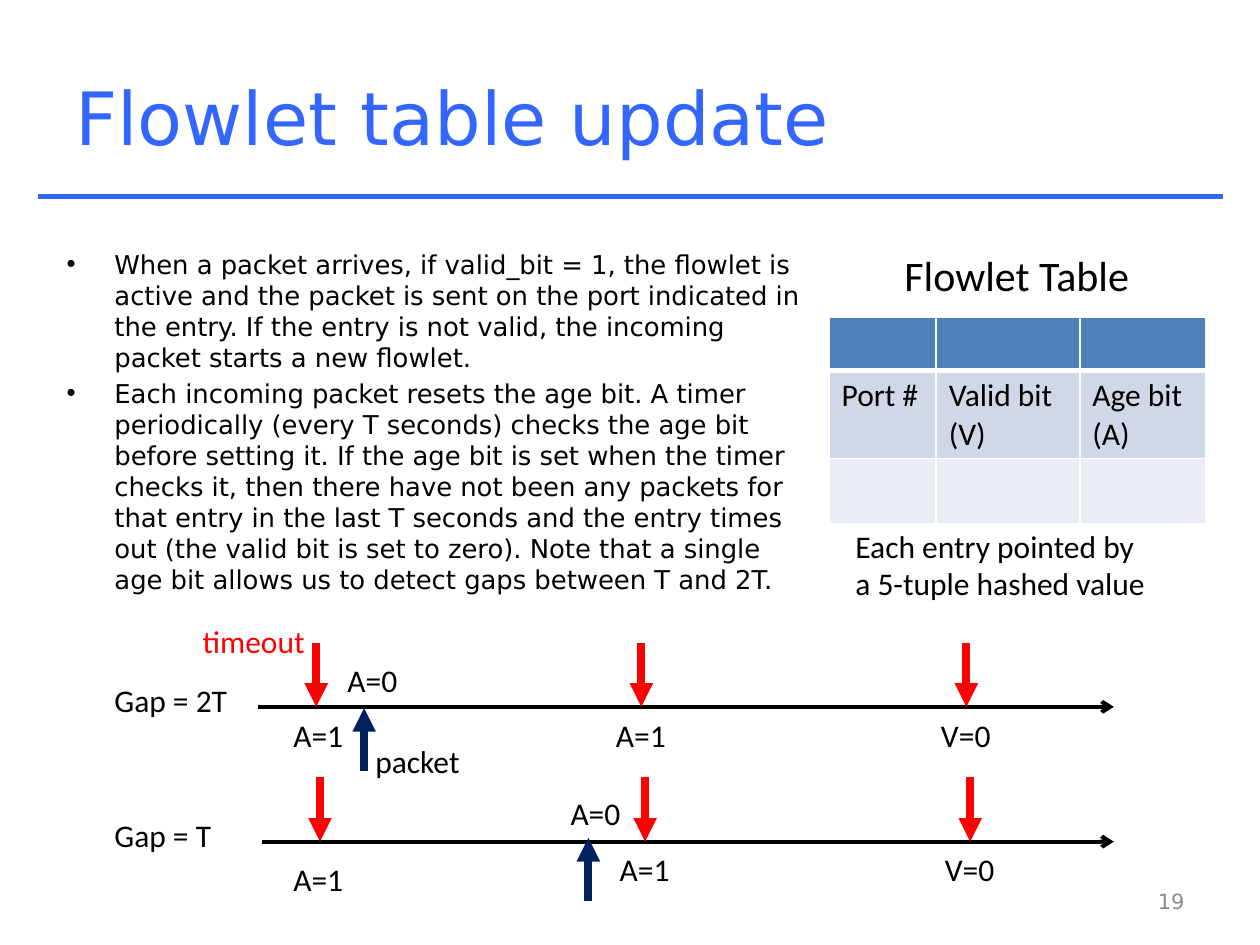
import pptx
import pptx.util
import pptx.dml.color
import pptx.enum.shapes
import pptx.enum.text
import pptx.oxml.ns
import lxml.etree
from dataclasses import dataclass

Inches = pptx.util.Inches
Pt = pptx.util.Pt
qn = pptx.oxml.ns.qn
Anchor = pptx.enum.text.MSO_ANCHOR
Align = pptx.enum.text.PP_ALIGN


@dataclass(frozen=True)
class Theme:
    heading_font: str = "DejaVu Sans"
    label_font: str = "Calibri"
    blue: str = "3366FF"
    black: str = "000000"
    gray: str = "8C8C8C"
    red: str = "FF0000"
    navy: str = "002060"
    white: str = "FFFFFF"
    row_fills: tuple = ("4F81BD", "D0D8E8", "E9EDF4")
    title: float = 42
    caption: float = 24
    label: float = 18
    body: float = 14.8
    number: float = 12


def rgb(value):
    return pptx.dml.color.RGBColor.from_string(value)


class SlideBuilder:
    def __init__(self, slide, theme):
        self.s = slide
        self.theme = theme

    def run(self, p, text, size, font, color):
        r = p.add_run()
        r.text = text
        r.font.size = Pt(size)
        r.font.name = font
        r.font.color.rgb = rgb(color)

    def text(self, box, lines, size=None, font=None, color=None, wrap=True,
             anchor=Anchor.TOP, align=Align.LEFT, bullet=False):
        t = self.theme
        tf = self.s.shapes.add_textbox(*map(Inches, box)).text_frame
        tf.word_wrap = wrap
        tf.vertical_anchor = anchor
        for i, line in enumerate(lines):
            p = tf.paragraphs[0] if i == 0 else tf.add_paragraph()
            p.alignment = align
            if bullet:
                self.bullet(p)
                if i:
                    p.space_before = Pt(3)
            self.run(p, line, size or t.label, font or t.label_font, color or t.black)

    def bullet(self, p):
        pPr = p._p.get_or_add_pPr()
        pPr.set("marL", str(Inches(0.38)))
        pPr.set("indent", str(Inches(-0.38)))
        lxml.etree.SubElement(pPr, qn("a:buFont"), typeface="Arial")
        lxml.etree.SubElement(pPr, qn("a:buChar"), char="•")

    def line(self, start, end, color, width, head=None):
        ends = map(Inches, (*start, *end))
        sp = self.s.shapes.add_connector(pptx.enum.shapes.MSO_CONNECTOR.STRAIGHT, *ends)
        sp.line.color.rgb = rgb(color)
        sp.line.width = Pt(width)
        if head:
            lxml.etree.SubElement(sp.line._get_or_add_ln(), qn("a:tailEnd"), type=head)
        lxml.etree.SubElement(sp._element.spPr, qn("a:effectLst"))

    def border(self, cell, side, width):
        tcPr = cell._tc.get_or_add_tcPr()
        ln = lxml.etree.SubElement(tcPr, qn("a:" + side), w=str(Pt(width)))
        fill = lxml.etree.SubElement(ln, qn("a:solidFill"))
        lxml.etree.SubElement(fill, qn("a:srgbClr"), val=self.theme.white)

    def table(self, left, top, widths, heights, rows):
        t = self.theme
        frame = self.s.shapes.add_table(
            len(heights), len(widths), Inches(left), Inches(top),
            Inches(sum(widths)), Inches(sum(heights)))
        table = frame.table
        for column, width in zip(table.columns, widths):
            column.width = Inches(width)
        for i, height in enumerate(heights):
            table.rows[i].height = Inches(height)
            for j, words in enumerate(rows[i]):
                cell = table.cell(i, j)
                for side in ("lnL", "lnR", "lnT", "lnB"):
                    thick = (i, side) in ((0, "lnB"), (1, "lnT"))
                    self.border(cell, side, 3 if thick else 1)
                cell.fill.solid()
                cell.fill.fore_color.rgb = rgb(t.row_fills[i])
                if words:
                    self.run(cell.text_frame.paragraphs[0], words,
                             t.label, t.label_font, t.black)

    def timeline(self, gap, start, y, first_timeout, packet, packet_tip, first_label_top):
        t = self.theme
        self.line((start, y), (8.84, y), t.black, 2.25, "arrow")
        for i, state in enumerate(("A=1", "A=1", "V=0")):
            x = first_timeout + 2.58 * i
            self.line((x, y - 0.51), (x, y), t.red, 4.5, "triangle")
            place = (x - 0.3, y + 0.02) if i else (2.23, first_label_top)
            self.text((*place, 0.6, 0.4), [state])
        self.line((packet, packet_tip + 0.5), (packet, packet_tip), t.navy, 4.5, "triangle")
        self.text((0.81, y - 0.25, 1.12, 0.4), [gap])


def main():
    prs = pptx.Presentation()
    prs.slide_width, prs.slide_height = Inches(10), Inches(7.5)
    t = Theme()
    b = SlideBuilder(prs.slides.add_slide(prs.slide_layouts[6]), t)

    b.line((9.71, 1.56), (0.3, 1.56), t.blue, 3)
    b.text((0.5, 0.3, 9, 1.25), ["Flowlet table update"], t.title, t.heading_font,
           t.blue, anchor=Anchor.MIDDLE)
    b.text((7.17, 6.95, 2.33, 0.4), ["19"], t.number, t.heading_font, t.gray,
           anchor=Anchor.MIDDLE, align=Align.RIGHT)

    b.table(6.58, 2.52, (0.85, 1.14, 1), (0.42, 0.68, 0.52),
            (("", "", ""), ("Port #", "Valid bit (V)", "Age bit (A)"), ("", "", "")))
    b.text((7.08, 1.93, 2, 0.5), ["Flowlet Table"], t.caption, wrap=False)
    b.text((6.69, 4.13, 2.55, 0.71),
           ["Each entry pointed by", "a 5-tuple hashed value"], wrap=False)

    b.text((0.43, 1.92, 6.15, 2.92), [
        "When a packet arrives, if valid_bit = 1, the flowlet is active and the packet "
        "is sent on the port indicated in the entry. If the entry is not valid, the "
        "incoming packet starts a new flowlet.",
        "Each incoming packet resets the age bit. A timer periodically (every T seconds) "
        "checks the age bit before setting it. If the age bit is set when the timer "
        "checks it, then there have not been any packets for that entry in the last T "
        "seconds and the entry times out (the valid bit is set to zero). Note that a "
        "single age bit allows us to detect gaps between T and 2T.",
    ], t.body, t.heading_font, bullet=True)

    b.timeline("Gap = 2T", 2.05, 5.61, 2.51, 2.89, 5.62, 5.63)
    b.text((2.66, 5.2, 0.6, 0.4), ["A=0"])
    b.text((2.88, 5.84, 0.88, 0.4), ["packet"], wrap=False)
    b.text((1.51, 4.89, 1.02, 0.4), ["timeout"], color=t.red, wrap=False)

    b.timeline("Gap = T", 2.08, 6.68, 2.54, 4.67, 6.65, 6.78)
    b.text((4.43, 6.25, 0.6, 0.4), ["A=0"])

    prs.save("out.pptx")


if __name__ == "__main__":
    main()
